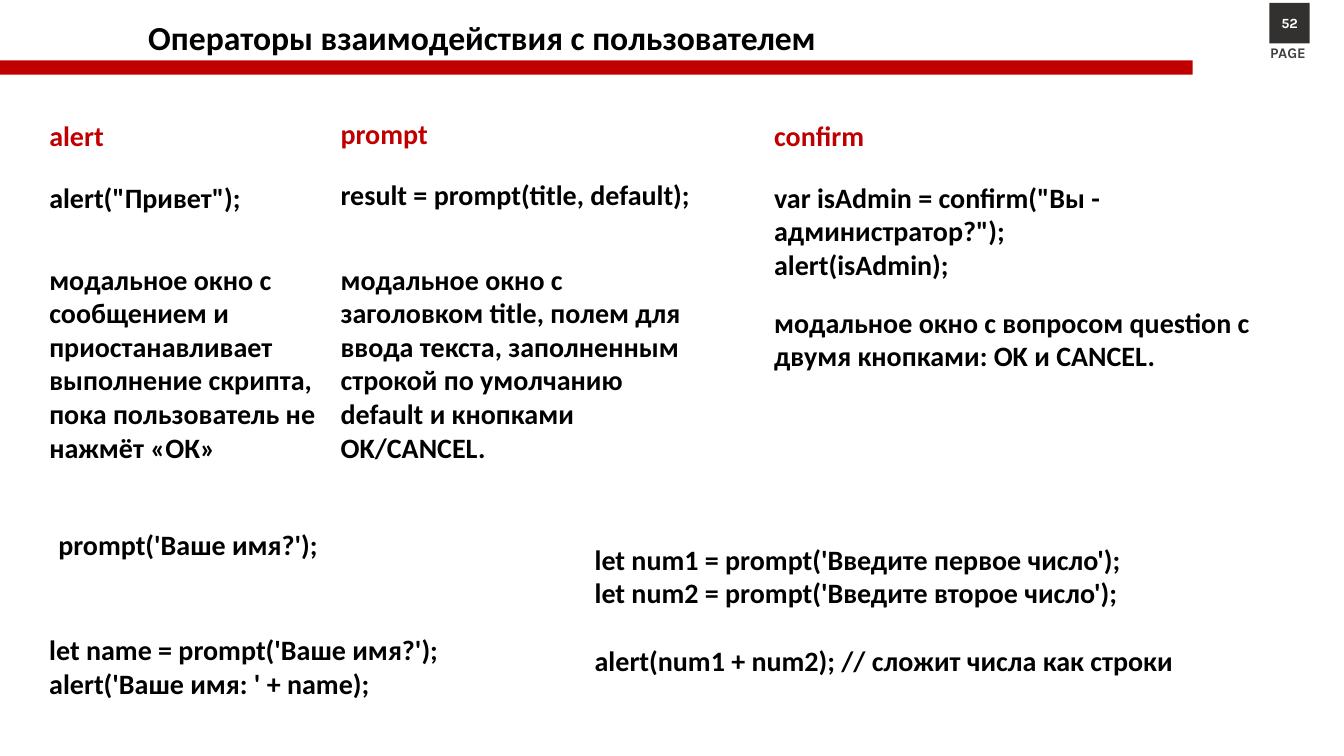
from dataclasses import dataclass

from pptx import Presentation
from pptx.dml.color import RGBColor
from pptx.enum.shapes import MSO_SHAPE
from pptx.enum.text import MSO_ANCHOR, MSO_AUTO_SIZE as AutoSize, PP_ALIGN
from pptx.util import Inches, Pt

RED = RGBColor(0xC0, 0x00, 0x00)
BLACK = RGBColor(0x00, 0x00, 0x00)
WHITE = RGBColor(0xFF, 0xFF, 0xFF)
GRAY = RGBColor(0x40, 0x40, 0x40)
CHARCOAL = RGBColor(0x33, 0x30, 0x30)

ALERT_X, PROMPT_X, CONFIRM_X = 0.39, 3.28, 7.58


@dataclass
class Note:
    """A text box; a line that starts a new group is listed in gaps."""
    left: float
    top: float
    width: float
    height: float
    lines: tuple[str, ...]
    color: RGBColor = BLACK
    wrap: bool = True
    gaps: tuple[int, ...] = ()


NOTES = [
    # Operator names and their syntax
    Note(ALERT_X, 1.13, 0.75, 0.44, ("alert",), RED, wrap=False),
    Note(ALERT_X, 1.74, 2.12, 0.44, ('alert("Привет");',), wrap=False),
    Note(PROMPT_X, 1.11, 1.07, 0.44, ("prompt",), RED, wrap=False),
    Note(PROMPT_X, 1.71, 3.7, 0.44, ("result = prompt(title, default);",), wrap=False),
    Note(CONFIRM_X, 1.13, 1.1, 0.44, ("confirm",), RED, wrap=False),
    Note(CONFIRM_X, 1.74, 5.23, 1.11,
         ('var isAdmin = confirm("Вы - администратор?");', "alert(isAdmin);")),
    # Descriptions
    Note(ALERT_X, 2.55, 2.88, 2.12,
         ("модальное окно с сообщением и приостанавливает выполнение скрипта, "
          "пока пользователь не нажмёт «ОК»",)),
    Note(PROMPT_X, 2.55, 3.65, 2.12,
         ("модальное окно с заголовком title, полем для ввода текста, заполненным "
          "строкой по умолчанию default и кнопками OK/CANCEL.",)),
    Note(CONFIRM_X, 2.98, 5.23, 0.77,
         ("модальное окно с вопросом question с двумя кнопками: OK и CANCEL.",)),
    # Code examples
    Note(0.48, 5.18, 6.67, 0.44, ("prompt('Ваше имя?');",)),
    Note(ALERT_X, 6.23, 6.67, 0.77,
         ("let name = prompt('Ваше имя?');", "alert('Ваше имя: ' + name);")),
    Note(5.8, 5.33, 6.67, 1.45,
         ("let num1 = prompt('Введите первое число');",
          "let num2 = prompt('Введите второе число');",
          "alert(num1 + num2); // сложит числа как строки"), gaps=(2,)),
]


def write(frame, *lines: str, size: float = 20, font: str = "Calibri",
          color: RGBColor = BLACK, align=PP_ALIGN.LEFT, anchor=MSO_ANCHOR.TOP,
          wrap: bool = True, auto_size=AutoSize.NONE, spacing: float = 1.0,
          gaps: tuple[int, ...] = ()) -> None:
    """Fill a text frame with bold paragraphs."""
    frame.word_wrap = wrap
    frame.auto_size = auto_size
    frame.vertical_anchor = anchor
    for index, line in enumerate(lines):
        paragraph = frame.paragraphs[0] if index == 0 else frame.add_paragraph()
        paragraph.alignment = align
        paragraph.line_spacing = spacing
        if index in gaps:
            paragraph.space_before = Pt(24.4)
        run = paragraph.add_run()
        run.text = line
        run.font.name = font
        run.font.size = Pt(size)
        run.font.bold = True
        run.font.color.rgb = color


def add_note(slide, note: Note, **text_format) -> None:
    box = slide.shapes.add_textbox(Inches(note.left), Inches(note.top),
                                   Inches(note.width), Inches(note.height))
    write(box.text_frame, *note.lines, color=note.color, wrap=note.wrap,
          gaps=note.gaps, auto_size=AutoSize.SHAPE_TO_FIT_TEXT, **text_format)


def add_block(slide, left: float, top: float, width: float, height: float,
              color: RGBColor):
    block = slide.shapes.add_shape(MSO_SHAPE.RECTANGLE, Inches(left), Inches(top),
                                   Inches(width), Inches(height))
    block.shadow.inherit = False
    block.fill.solid()
    block.fill.fore_color.rgb = color
    block.line.fill.background()
    return block


def main() -> None:
    deck = Presentation()
    deck.slide_width, deck.slide_height = Inches(13.33), Inches(7.5)
    slide = deck.slides.add_slide(deck.slide_layouts[5])

    # Title
    title = slide.shapes.title
    title.left, title.top = Inches(1.37), Inches(0.03)
    title.width, title.height = Inches(11.96), Inches(0.72)
    write(title.text_frame, "Операторы взаимодействия с пользователем", size=24,
          anchor=MSO_ANCHOR.MIDDLE, spacing=0.9)

    # Page number
    add_note(slide, Note(12.5, 0.39, 0.59, 0.28, ("PAGE",), GRAY, wrap=False),
             size=10.5, font="Karla")
    page_number = add_block(slide, 12.59, 0.03, 0.4, 0.4, CHARCOAL)
    write(page_number.text_frame, "52", size=10, font="Karla", color=WHITE,
          align=PP_ALIGN.CENTER, anchor=MSO_ANCHOR.MIDDLE)

    # Rule under the title
    add_block(slide, 0, 0.6, 11.83, 0.14, RED)

    # Operators, descriptions and examples
    for note in NOTES:
        add_note(slide, note)

    deck.save("out.pptx")


if __name__ == "__main__":
    main()
